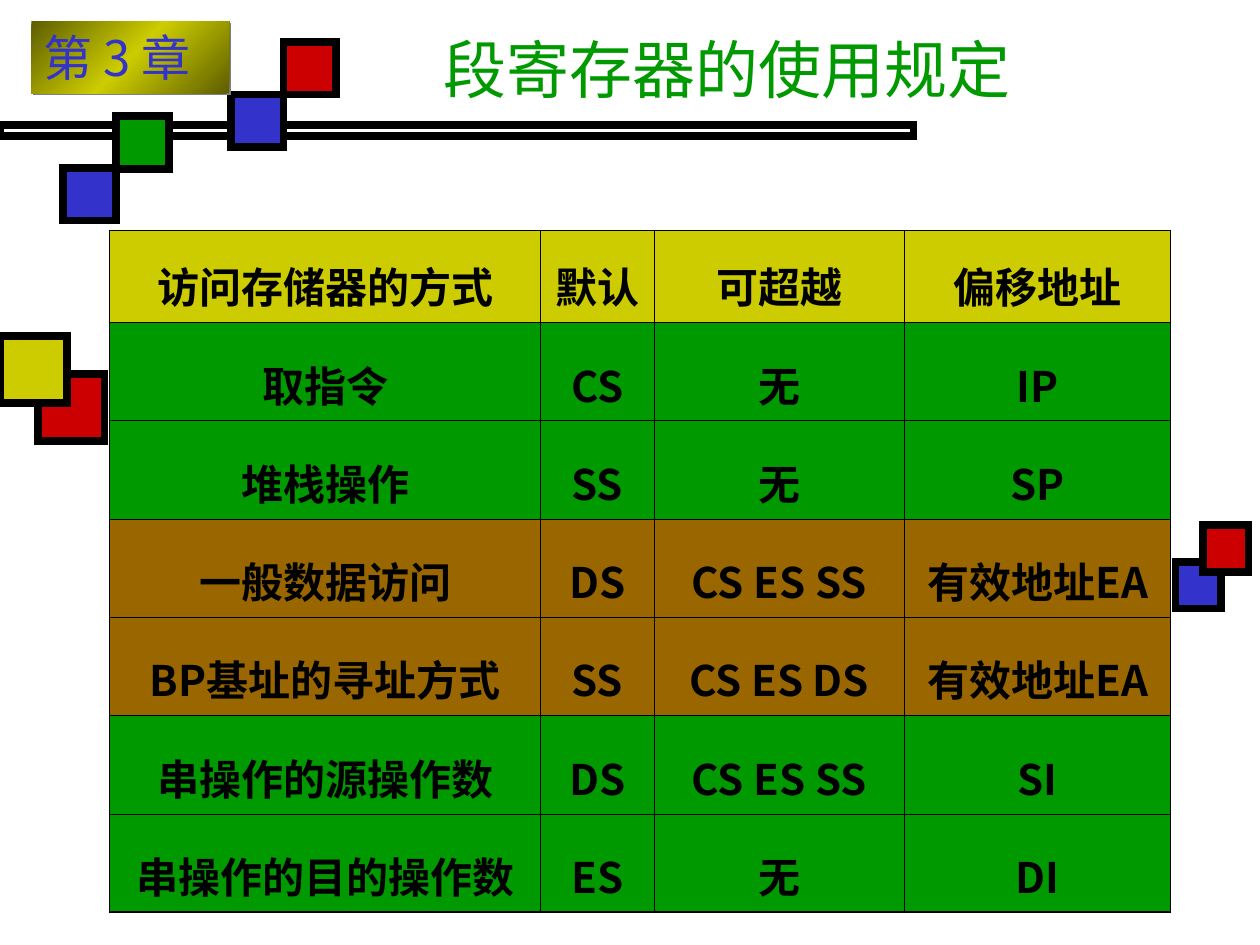
from typing import NamedTuple

from pptx import Presentation
from pptx.dml.color import RGBColor
from pptx.enum import shapes, text
from pptx.oxml import parse_xml
from pptx.oxml.ns import qn
from pptx.util import Inches, Pt

BLACK = RGBColor(0, 0, 0)
BLUE = RGBColor(0x33, 0x33, 0xCC)
RED = RGBColor(0xCC, 0, 0)
GREEN = RGBColor(0, 0x99, 0)
YELLOW = RGBColor(0xCC, 0xCC, 0)
OLIVE = RGBColor(0x5E, 0x5E, 0)
BROWN = RGBColor(0x99, 0x66, 0)
GRAY = RGBColor(0x80, 0x80, 0x80)
NS = 'xmlns:a="http://schemas.openxmlformats.org/drawingml/2006/main"'
SANS = "Noto Sans CJK SC"


class Box(NamedTuple):
    left: float
    top: float
    width: float
    height: float
    fill: RGBColor | None


class Row(NamedTuple):
    words: tuple[str, ...]
    fill: RGBColor


BOXES = [
    Box(0, 0.99, 7.25, 0.09, None),
    # Right pair
    Box(9.33, 4.46, 0.36, 0.37, BLUE),
    Box(9.55, 4.17, 0.36, 0.37, RED),
    # Steps below the title
    Box(1.83, 0.75, 0.42, 0.42, BLUE),
    Box(0.5, 1.33, 0.42, 0.42, BLUE),
    Box(0.92, 0.92, 0.42, 0.42, GREEN),
    Box(2.25, 0.33, 0.42, 0.42, RED),
    # Left pair
    Box(0.3, 2.97, 0.53, 0.53, RED),
    Box(0, 2.67, 0.53, 0.53, YELLOW),
]

ROWS = [
    Row(("访问存储器的方式", "默认", "可超越", "偏移地址"), YELLOW),
    Row(("取指令", "CS", "无", "IP"), GREEN),
    Row(("堆栈操作", "SS", "无", "SP"), GREEN),
    Row(("一般数据访问", "DS", "CS ES SS", "有效地址EA"), BROWN),
    Row(("BP基址的寻址方式", "SS", "CS ES DS", "有效地址EA"), BROWN),
    Row(("串操作的源操作数", "DS", "CS ES SS", "SI"), GREEN),
    Row(("串操作的目的操作数", "ES", "无", "DI"), GREEN),
]
WIDTHS = (3.42, 0.9, 1.99, 2.11)
HEIGHTS = (0.73,) + (0.78,) * (len(ROWS) - 1)


def write(para, words: str, color: RGBColor, east: str = SANS, **form) -> None:
    run = para.add_run()
    run.text = words
    for key, val in form.items():
        setattr(run.font, key, val)
    run.font.color.rgb = color
    props = run.font._element
    props.find(qn("a:latin")).addnext(
        parse_xml(f'<a:ea {NS} typeface="{east}"/>'))


def add_rect(slide, box: Box):
    rect = slide.shapes.add_shape(
        shapes.MSO_SHAPE.RECTANGLE, *(Inches(n) for n in box[:4]))
    rect.shadow.inherit = False
    if box.fill is None:
        rect.fill.background()
    else:
        rect.fill.solid()
        rect.fill.fore_color.rgb = box.fill
    return rect


def add_box(slide, box: Box) -> None:
    rect = add_rect(slide, box)
    rect.line.color.rgb = BLACK
    rect.line.width = Pt(4.5)
    rect.line._get_or_add_ln().append(parse_xml(f'<a:miter {NS} lim="800000"/>'))


def add_chip(slide) -> None:
    chip = add_rect(slide, Box(0.25, 0.17, 1.57, 0.57, YELLOW))
    chip.line.fill.background()
    props = chip._element.spPr
    stops = "".join(
        f'<a:gs pos="{pos}"><a:srgbClr val="{color}"/></a:gs>'
        for pos, color in ((0, OLIVE), (50000, YELLOW), (100000, OLIVE)))
    props.replace(props.find(qn("a:solidFill")), parse_xml(
        f'<a:gradFill {NS}><a:gsLst>{stops}</a:gsLst>'
        '<a:lin ang="2700000" scaled="0"/></a:gradFill>'))
    props.find(qn("a:effectLst")).append(parse_xml(
        f'<a:outerShdw {NS} dist="{Pt(1.4)}" dir="2700000">'
        f'<a:srgbClr val="{GRAY}"/></a:outerShdw>'))
    frame = chip.text_frame
    form = {"word_wrap": False, "vertical_anchor": text.MSO_ANCHOR.TOP,
            "auto_size": text.MSO_AUTO_SIZE.SHAPE_TO_FIT_TEXT}
    for key, val in form.items():
        setattr(frame, key, val)
    para = frame.paragraphs[0]
    para.alignment = text.PP_ALIGN.LEFT
    font = "Noto Sans CJK JP"
    write(para, "第 3 章", BLUE, font, size=Pt(28), name=font)


def add_title(slide) -> None:
    frame = slide.shapes.add_textbox(
        Inches(3.42), Inches(0.08), Inches(6.58), Inches(0.92)).text_frame
    frame.word_wrap = True
    frame.vertical_anchor = text.MSO_ANCHOR.MIDDLE
    para = frame.paragraphs[0]
    para.alignment = text.PP_ALIGN.JUSTIFY
    write(para, "段寄存器的使用规定", GREEN, size=Pt(36), name="Roboto")


def set_edges(cell, row: int, col: int) -> None:
    last = len(ROWS) - 1
    heavy = {"L": col == 0, "R": col == len(WIDTHS) - 1,
             "T": row in (0, 1), "B": row in (0, last)}
    props = cell._tc.get_or_add_tcPr()
    for spot, (side, bold) in enumerate(heavy.items()):
        props.insert(spot, parse_xml(
            f'<a:ln{side} {NS} w="{Pt(1.08 if bold else 0.45)}"><a:solidFill>'
            f'<a:srgbClr val="{BLACK}"/></a:solidFill></a:ln{side}>'))


def add_grid(slide) -> None:
    grid = slide.shapes.add_table(
        len(ROWS), len(WIDTHS), Inches(0.87), Inches(1.83),
        Inches(sum(WIDTHS)), Inches(sum(HEIGHTS))).table
    grid.first_row = grid.horz_banding = False
    for col, width in zip(grid.columns, WIDTHS):
        col.width = Inches(width)
    for r, row in enumerate(ROWS):
        grid.rows[r].height = Inches(HEIGHTS[r])
        form = {"alignment": text.PP_ALIGN.CENTER, "space_before": Pt(6),
                "line_spacing": 1.4 if r else 1.3}
        for c, words in enumerate(row.words):
            cell = grid.cell(r, c)
            cell.vertical_anchor = text.MSO_ANCHOR.MIDDLE
            cell.fill.solid()
            cell.fill.fore_color.rgb = row.fill
            set_edges(cell, r, c)
            para = cell.text_frame.paragraphs[0]
            for key, val in form.items():
                setattr(para, key, val)
            write(para, words, BLACK, size=Pt(24), bold=True, name=SANS)


def main() -> None:
    deck = Presentation()
    deck.slide_width, deck.slide_height = Inches(10), Inches(7.5)
    slide = deck.slides.add_slide(deck.slide_layouts[6])
    # Decoration
    for box in BOXES:
        add_box(slide, box)
    # Heading
    add_chip(slide)
    add_title(slide)
    # Segment register rules
    add_grid(slide)
    deck.save("out.pptx")


if __name__ == "__main__":
    main()
